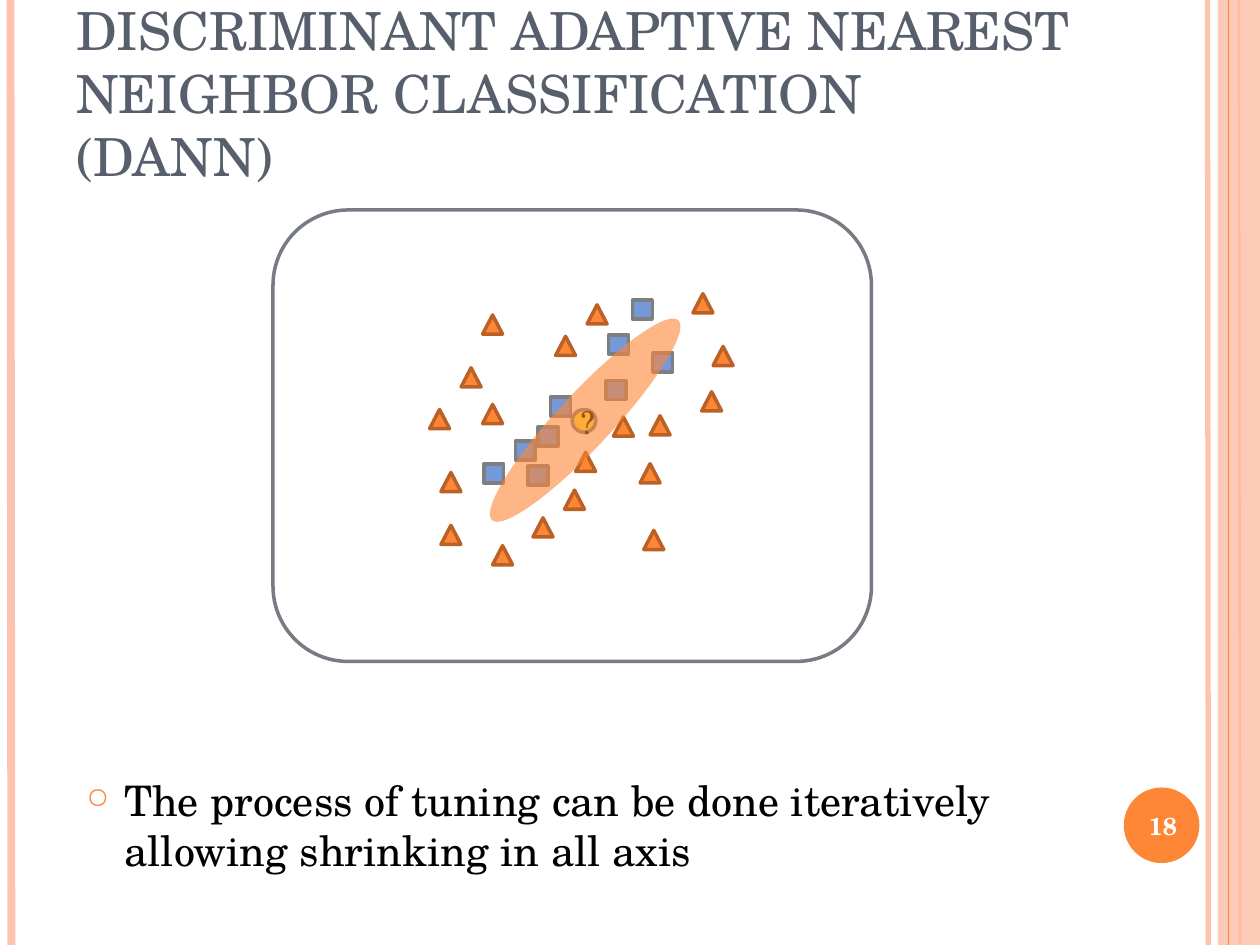
from lxml import etree
from pptx import Presentation
from pptx.dml.color import RGBColor
from pptx.enum import shapes, text
from pptx.oxml import ns
from pptx.util import Pt

PEACH = RGBColor(0xFE, 0xC3, 0xAE)
ORANGE = RGBColor(0xFE, 0x86, 0x37)
RUST = RGBColor(0xBB, 0x61, 0x26)
BLUE = RGBColor(0x75, 0x98, 0xD9)
GRAY = RGBColor(0x7F, 0x7F, 0x7F)
FRAME = RGBColor(0x77, 0x7C, 0x84)
YELLOW = RGBColor(0xFF, 0xE6, 0x36)
SLATE = RGBColor(0x57, 0x5F, 0x6D)
BLACK = RGBColor(0, 0, 0)
WHITE = RGBColor(0xFF, 0xFF, 0xFF)
FONT = "TeX Gyre Schola"
KIND = shapes.MSO_SHAPE
ANCHOR = text.MSO_ANCHOR
ALIGN = text.PP_ALIGN

prs = Presentation()
prs.slide_width, prs.slide_height = Pt(720), Pt(540)
s = prs.slides.add_slide(prs.slide_layouts[6])


def add_shape(kind, box, fill=None, line=None, alpha=100):
    sp = s.shapes.add_shape(kind, *map(Pt, box))
    sp.shadow.inherit = False
    if fill is None:
        sp.fill.background()
    else:
        sp.fill.solid()
        sp.fill.fore_color.rgb = fill
    if line is None:
        sp.line.fill.background()
    else:
        sp.line.color.rgb = line
        sp.line.width = Pt(2)
    if alpha < 100:
        clr = sp._element.spPr.find(ns.qn("a:solidFill"))[0]
        etree.SubElement(clr, ns.qn("a:alpha"), val=str(alpha * 1000))
    return sp


def add_text(words, box, insets, size, color, anchor, align, margin=0, indent=0):
    sp = s.shapes.add_textbox(*map(Pt, box))
    tf = sp.text_frame
    tf.word_wrap = True
    tf.vertical_anchor = anchor
    tf.margin_left, tf.margin_top, tf.margin_right, tf.margin_bottom = map(Pt, insets)
    tf.text = words
    p = tf.paragraphs[0]
    p.alignment = align
    pPr = p._p.get_or_add_pPr()
    pPr.set("marL", str(Pt(margin)))
    pPr.set("indent", str(Pt(indent)))
    r = p.runs[0]
    r.font.name, r.font.size, r.font.color.rgb = FONT, Pt(size), color
    return p


for x, color, width in [(690, PEACH, 3), (6, PEACH, 4.5), (708, ORANGE, 1.5)]:
    ln = s.shapes.add_connector(shapes.MSO_CONNECTOR.STRAIGHT, Pt(x), 0, Pt(x + 0.5), Pt(540))
    ln.line.color.rgb = color
    ln.line.width = Pt(width)
    etree.SubElement(ln._element.spPr, ns.qn("a:effectLst"))

add_shape(KIND.RECTANGLE, (696, 0, 24, 540), PEACH, alpha=87)
ln = s.shapes.add_connector(shapes.MSO_CONNECTOR.STRAIGHT, Pt(702), 0, Pt(702), Pt(540))
ln.line.color.rgb = ORANGE
ln.line.width = Pt(0.75)
etree.SubElement(ln._element.spPr, ns.qn("a:effectLst"))

add_shape(KIND.OVAL, (642.2, 450, 43.2, 43.2), ORANGE)
p = add_text("18", (640, 459.5, 49, 25), (0, 0, 3, 0), 14, WHITE, ANCHOR.MIDDLE, ALIGN.CENTER, 3)
p.runs[0].font.bold = True

add_text("DISCRIMINANT ADAPTIVE NEAREST NEIGHBOR CLASSIFICATION (DANN)",
         (36, 0, 588, 111.6), (4.5, 4.5, 10, 4.5), 30, SLATE, ANCHOR.BOTTOM, ALIGN.LEFT, 3)

add_shape(KIND.ROUNDED_RECTANGLE, (156, 120, 342, 258), line=FRAME)

squares = [(307.4, 244.1), (373, 201.6), (276.5, 265), (347.8, 191.5), (301.7, 266.4),
           (346.3, 217.4), (361.4, 171.4), (294.5, 252), (314.6, 226.8)]
triangles = [(365.8, 265), (322.6, 280.1), (263.5, 210.2), (304.6, 295.9), (407.5, 198),
             (401, 223.9), (371.5, 237.6), (329, 258.5), (350.6, 238.3), (367.9, 303.1),
             (317.5, 192.2), (281.5, 311.8), (275.8, 180), (396, 167.8), (335.5, 174.2),
             (275.8, 231.1), (245.5, 234), (252, 270), (252, 300.2)]
for kind, points, fill, line in [(KIND.RECTANGLE, squares, BLUE, GRAY),
                                 (KIND.ISOSCELES_TRIANGLE, triangles, ORANGE, RUST)]:
    for x, y in points:
        add_shape(kind, (x, y, 11.4, 10.9), fill, line)

add_shape(KIND.OVAL, (327, 234, 13.5, 13), YELLOW, GRAY)
add_text("?", (329, 227, 10, 28), (3, 3, 6.5, 3), 18, BLACK, ANCHOR.MIDDLE, ALIGN.CENTER)
neighborhood = add_shape(KIND.OVAL, (256.3, 224.6, 156.2, 31), ORANGE, alpha=60)
neighborhood.rotation = 313

p = add_text("The process of tuning can be done iteratively allowing shrinking in all axis",
             (42, 438, 570, 102), (4.5, 4.5, 10, 4.5), 24, BLACK, ANCHOR.TOP, ALIGN.LEFT, 24.5, -21.6)
pPr = p._p.get_or_add_pPr()
buClr = etree.SubElement(pPr, ns.qn("a:buClr"))
etree.SubElement(buClr, ns.qn("a:srgbClr"), val=str(ORANGE))
etree.SubElement(pPr, ns.qn("a:buSzPct"), val="69000")
etree.SubElement(pPr, ns.qn("a:buChar"), char="○")

prs.save("out.pptx")
